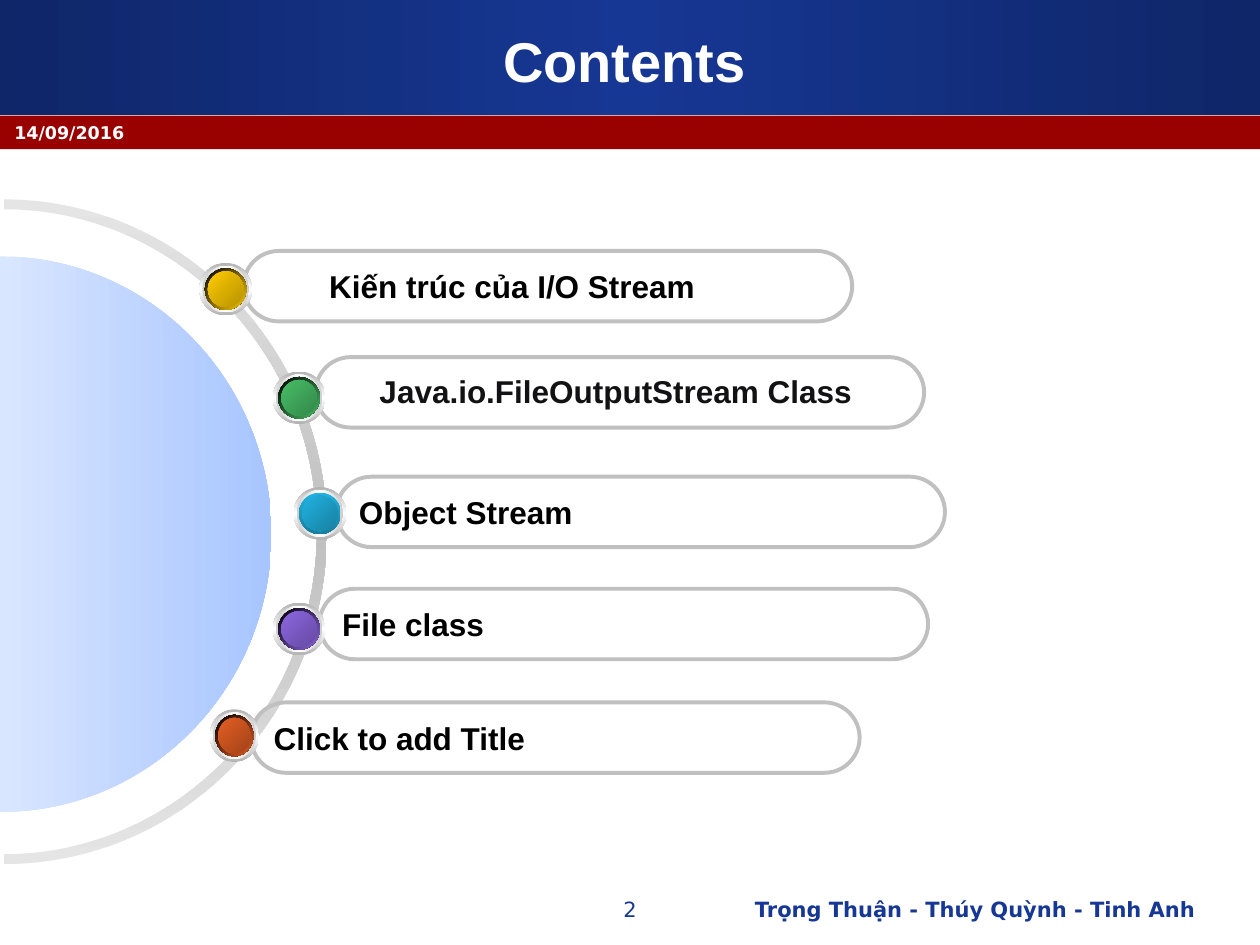
from lxml.etree import SubElement
from pptx import Presentation
from pptx.dml.color import RGBColor
from pptx.enum.shapes import MSO_SHAPE
from pptx.enum.text import MSO_ANCHOR, PP_ALIGN
from pptx.oxml.ns import qn
from pptx.util import Cm, Pt

COLORS = {
    "navy": "0F2668", "blue": "163794", "red": "990000", "white": "FFFFFF",
    "black": "000000", "ink": "121214", "silver": "C0C0C0", "mist": "E5E5E5",
    "rim": "B3B3B3", "bevel": "CFCFCF", "sky": "D9E6FF", "azure": "A7C5FF",
    "yellow": "FFCC00", "dark yellow": "B79200",
    "green": "48BE67", "dark green": "33884A",
    "cyan": "21B3E1", "deep cyan": "177E9E", "dark cyan": "1780A2",
    "purple": "8D67E1", "dark purple": "654AA2",
    "orange": "E35E23", "dark orange": "A34319",
}

# Lengths in cm. Each entry: text, text format, pill corner, ball corner,
# ball width, edge gradient (colours, angle), face gradient colours
ENTRIES = [
    ("Kiến trúc của I/O Stream", {"indent": 1.27}, (4.91, 5.06), (4.02, 5.3), 1.06,
     (("black", "yellow"), 45), ("yellow", "dark yellow")),
    ("Java.io.FileOutputStream Class",
     {"color": "ink", "align": PP_ALIGN.CENTER, "spacing": 0.98, "gap": 5,
      "right_inset": 0.41},
     (6.36, 7.2), (5.5, 7.49), 1.06,
     (("black", "green"), 45), ("green", "dark green")),
    ("Object Stream", {}, (6.78, 9.61), (5.92, 9.82), 1.06,
     (("cyan", "deep cyan"), 90), ("cyan", "dark cyan")),
    ("File class", {}, (6.44, 11.87), (5.5, 12.15), 1.06,
     (("black", "purple"), 45), ("purple", "dark purple")),
    ("Click to add Title", {}, (5.06, 14.16), (4.23, 14.3), 0.99,
     (("black", "orange"), 45), ("orange", "dark orange")),
]
PILL_SIZE = (12.27, 1.42)
BALL_HEIGHT = 1.06
BALL_INSETS = (0, 0.06, 0.11, 0.17)
KAPPA = 0.5523  # handle length of a quarter circle drawn as one curve

SMALL = {"font": "DejaVu Sans", "size": 12, "color": "blue", "anchor": MSO_ANCHOR.TOP}
LABELS = [
    ("Trọng Thuận - Thúy Quỳnh - Tinh Anh", (14.39, 17.95, 9.96, 0.89),
     {**SMALL, "align": PP_ALIGN.RIGHT}),
    ("14/09/2016", (0.04, 2.34, 23.5, 0.64), {**SMALL, "size": 10, "color": "white"}),
    ("Contents", (0.84, 0.43, 23.5, 1.57),
     {"size": 32, "color": "white", "align": PP_ALIGN.CENTER}),
    ("2", (9.74, 17.95, 5.92, 0.89), {**SMALL, "bold": False, "align": PP_ALIGN.CENTER}),
]


def rgb(name):
    return RGBColor.from_string(COLORS[name])


def write(shape, text, font="Arial", size=18, color="black", bold=True,
          align=PP_ALIGN.LEFT, anchor=MSO_ANCHOR.MIDDLE, indent=0, spacing=None,
          gap=None, right_inset=0.25):
    frame = shape.text_frame
    frame.word_wrap = True
    frame.vertical_anchor = anchor
    frame.margin_right = Cm(right_inset)
    paragraph = frame.paragraphs[0]
    paragraph.alignment = align
    if indent:
        paragraph._p.get_or_add_pPr().set("marL", str(Cm(indent)))
    if spacing:
        paragraph.line_spacing = spacing
    if gap:
        paragraph.space_before = paragraph.space_after = Pt(gap)
    run = paragraph.add_run()
    run.text = text
    run.font.name, run.font.size, run.font.bold = font, Pt(size), bold
    run.font.color.rgb = rgb(color)


def paint(shape, names, angle=0):
    """Fill without outline: one colour is solid, more are an even gradient, clockwise angle."""
    shape.shadow.inherit = False
    shape.line.fill.background()
    if len(names) == 1:
        shape.fill.solid()
        shape.fill.fore_color.rgb = rgb(names[0])
        return
    shape.fill.gradient()
    shape.fill.gradient_angle = -angle % 360
    stops = shape._element.spPr.find(qn("a:gradFill")).find(qn("a:gsLst"))
    for stop in list(stops):
        stops.remove(stop)
    for i, name in enumerate(names):
        stop = SubElement(stops, qn("a:gs"), pos=str(100000 * i // (len(names) - 1)))
        SubElement(stop, qn("a:srgbClr"), val=COLORS[name])


def add_preset(shapes, kind, *box):
    return shapes.add_shape(kind, *map(Cm, box))


def right_half(center_x, center_y, radius_x, radius_y):
    """Right half of an ellipse, top to bottom: anchors and handles of two curves."""
    units = [(0, -1), (KAPPA, -1), (1, -KAPPA), (1, 0), (1, KAPPA), (KAPPA, 1), (0, 1)]
    return [(Cm(center_x + radius_x * x), Cm(center_y + radius_y * y)) for x, y in units]


def add_curved(shapes, *halves):
    """Closed outline that runs along each half in turn, joined by straight lines."""
    anchors = [point for half in halves for point in half[::3]]
    builder = shapes.build_freeform(*anchors[0])
    builder.add_line_segments(anchors[1:], close=True)
    outline = builder.convert_to_shape()
    lines = list(outline._element.iter(qn("a:lnTo")))
    for i, half in enumerate(halves):
        for line, start in zip(lines[3 * i:], (1, 4)):
            line.tag = qn("a:cubicBezTo")
            line.remove(line[0])
            for x, y in half[start:start + 3]:
                SubElement(line, qn("a:pt"), x=str(x - outline.left), y=str(y - outline.top))
    return outline


def add_pill(shapes, text, text_format, corner):
    pill = add_preset(shapes, MSO_SHAPE.ROUNDED_RECTANGLE, *corner, *PILL_SIZE)
    pill.adjustments[0] = 0.5
    pill.shadow.inherit = False
    pill.fill.background()
    pill.line.color.rgb = rgb("silver")
    pill.line.width = Pt(2.25)
    write(pill, text, **text_format)


def add_ball(shapes, corner, width, edge, face):
    layers = [(("rim", "white", "rim"), 90), (("bevel", "white", "bevel"), 0),
              edge, (face, 45)]
    ball = shapes.add_group_shape()
    left, top = corner
    for inset, (names, angle) in zip(BALL_INSETS, layers):
        disc = add_preset(ball.shapes, MSO_SHAPE.OVAL, left + inset, top + inset,
                          width - 2 * inset, BALL_HEIGHT - 2 * inset)
        paint(disc, names, angle)


def main():
    deck = Presentation()
    deck.slide_width, deck.slide_height = Cm(25.4), Cm(19.05)
    shapes = deck.slides.add_slide(deck.slide_layouts[6]).shapes

    banner = add_preset(shapes, MSO_SHAPE.RECTANGLE, 0, 0, 25.4, 2.32)
    paint(banner, ("navy", "blue", "navy"))
    date_bar = add_preset(shapes, MSO_SHAPE.RECTANGLE, 0, 2.33, 25.4, 0.68)
    paint(date_bar, ("red",))

    ring = add_curved(shapes, right_half(0.08, 10.72, 6.51, 6.7),
                      right_half(0.08, 10.72, 6.31, 6.5)[::-1])
    paint(ring, ("mist", "silver", "mist"), 90)
    half_disc = add_curved(shapes, right_half(0, 10.77, 5.47, 5.6))
    paint(half_disc, ("sky", "azure"))

    for text, text_format, pill_corner, *_ in reversed(ENTRIES):
        add_pill(shapes, text, text_format, pill_corner)
    for *_, ball_corner, width, edge, face in ENTRIES:
        add_ball(shapes, ball_corner, width, edge, face)

    for text, box, text_format in LABELS:
        write(shapes.add_textbox(*map(Cm, box)), text, **text_format)

    deck.save("out.pptx")


if __name__ == "__main__":
    main()
